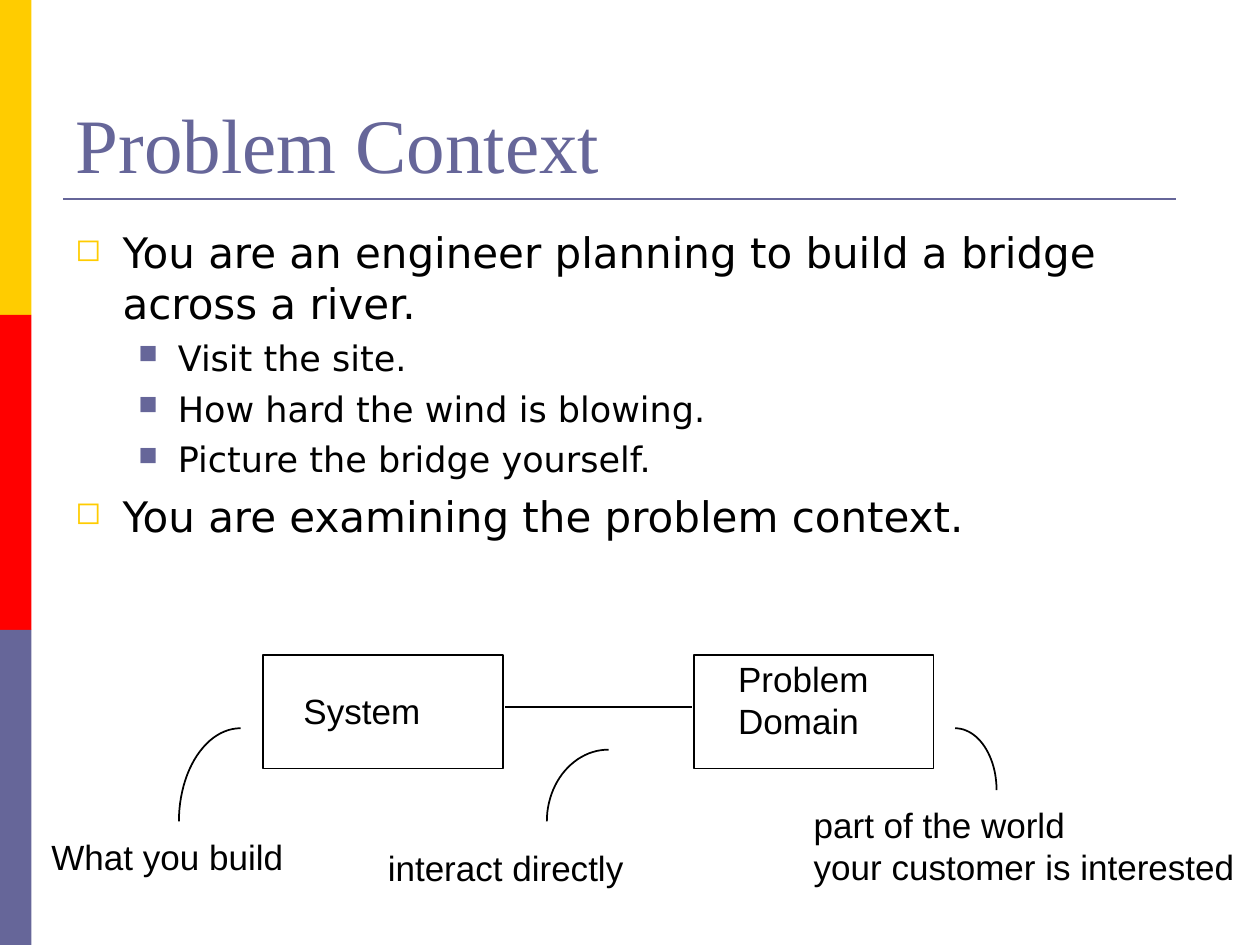
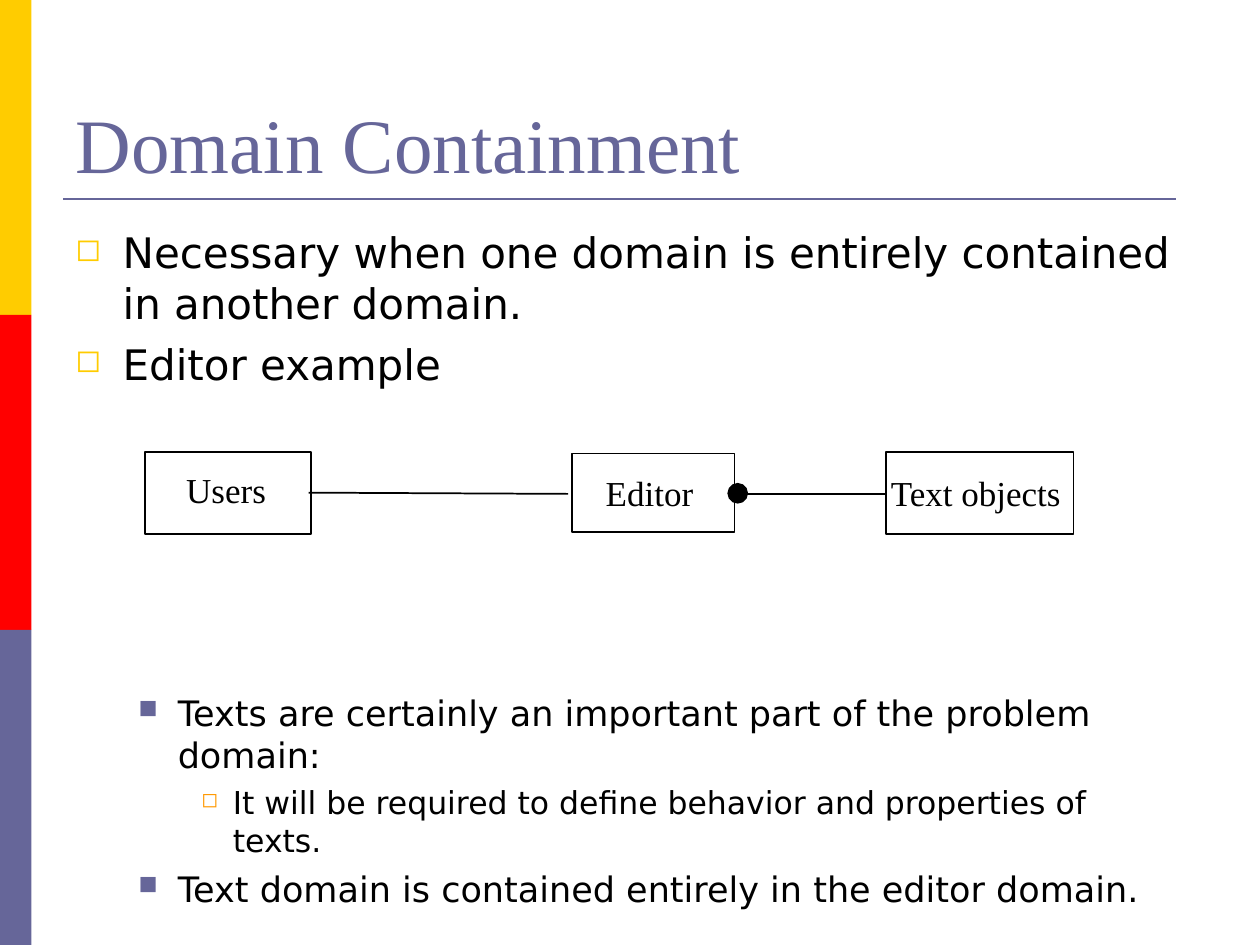
"""Builds two slides on problem context and domain containment."""
import math

import lxml.etree
import pptx
import pptx.dml.color
import pptx.enum.shapes
import pptx.enum.text
import pptx.oxml.ns
import pptx.util

COLS, ROWS = 100, 75
UNIT = pptx.util.Inches(0.1)
GOLD, RED, SLATE, BLACK = "FFCC00", "FF0000", "666699", "000000"
SERIF, SANS, ARIAL = "Times New Roman", "DejaVu Sans", "Arial"
LEVELS = [
    dict(size=24, gap=6, left=3.75, hang=3.75, mark="◻", tint=GOLD, share=75),
    dict(size=20, gap=5, left=8.13, hang=3.13, mark="■", tint=SLATE, share=75),
    dict(size=18, gap=4.5, left=12.5, hang=2.5, mark="◻", tint="FF9900", share=65),
]
SHAPE = pptx.enum.shapes.MSO_SHAPE
ALIGN = pptx.enum.text.PP_ALIGN


def grid(*cells):
    return [round(cell * UNIT) for cell in cells]


def color(code):
    return pptx.dml.color.RGBColor.from_string(code)


class Deck:
    def __init__(self):
        self.file = pptx.Presentation()
        self.file.slide_width, self.file.slide_height = grid(COLS, ROWS)
        self.slide = None

    def page(self, title):
        self.slide = self.file.slides.add_slide(self.file.slide_layouts[5])
        step = ROWS / 3
        for row, tint in enumerate((GOLD, RED, SLATE)):
            self.shape((0, row * step, 2.5, step), fill=tint, line=None)
        self.line((5, 15.8), (93.3, 15.8), SLATE, 1.5)
        head = self.slide.shapes.title
        head.left, head.top, head.width, head.height = grid(5, 3, 90, 12.5)
        frame = head.text_frame
        frame.text = title
        frame.auto_size = pptx.enum.text.MSO_AUTO_SIZE.NONE
        frame.vertical_anchor = pptx.enum.text.MSO_ANCHOR.BOTTOM
        self.style(frame.paragraphs[0], SERIF, 44, SLATE)

    def style(self, para, font, size, tint=BLACK, align=ALIGN.LEFT):
        para.alignment = align
        for run in para.runs:
            run.font.name = font
            run.font.size = pptx.util.Pt(size)
            run.font.color.rgb = color(tint)

    def paint(self, item, fill, line):
        item.shadow.inherit = False
        if fill:
            item.fill.solid()
            item.fill.fore_color.rgb = color(fill)
        else:
            item.fill.background()
        if line:
            item.line.color.rgb = color(line)
            item.line.width = pptx.util.Pt(1)
        else:
            item.line.fill.background()

    def shape(self, box, kind=SHAPE.RECTANGLE, fill=None, line=BLACK):
        item = self.slide.shapes.add_shape(kind, *grid(*box))
        self.paint(item, fill, line)

    def line(self, start, end, tint=BLACK, width=1):
        kind = pptx.enum.shapes.MSO_CONNECTOR.STRAIGHT
        item = self.slide.shapes.add_connector(kind, *grid(*start, *end))
        item.line.color.rgb = color(tint)
        item.line.width = pptx.util.Pt(width)
        lxml.etree.SubElement(item._element.spPr, pptx.oxml.ns.qn("a:effectLst"))

    def curve(self, center, wide, high, steps=24):
        """Draws a quarter arc; a negative width bends it to the left."""
        turns = [math.pi / 2 * step / steps for step in range(steps + 1)]
        points = [grid(center[0] + wide * math.cos(turn),
                       center[1] - high * math.sin(turn)) for turn in turns]
        pen = self.slide.shapes.build_freeform(*points[0])
        pen.add_line_segments(points[1:], close=False)
        self.paint(pen.convert_to_shape(), None, BLACK)

    def label(self, text, box, font=ARIAL, align=ALIGN.LEFT):
        frame = self.slide.shapes.add_textbox(*grid(*box)).text_frame
        frame.text = text
        frame.word_wrap = False
        for para in frame.paragraphs:
            self.style(para, font, 20, align=align)

    def bullets(self, high, items):
        frame = self.slide.shapes.add_textbox(*grid(5, 17.5, 90, high)).text_frame
        frame.word_wrap = True
        frame.text = "\n".join(item[1] for item in items)
        for place, (para, item) in enumerate(zip(frame.paragraphs, items)):
            look = LEVELS[item[0]]
            gap = item[2] if len(item) > 2 else look["gap"]
            para.level = item[0]
            para.space_before = pptx.util.Pt(gap if place else 0)
            self.style(para, SANS, look["size"])
            self.mark(para, look)

    def mark(self, para, look):
        props = para._p.get_or_add_pPr()
        left, hang = grid(look["left"], look["hang"])
        props.set("marL", str(left))
        props.set("indent", str(-hang))

        def add(parent, tag, value, name="val"):
            node = lxml.etree.SubElement(parent, pptx.oxml.ns.qn(tag))
            if value:
                node.set(name, value)
            return node

        add(add(props, "a:buClr", None), "a:srgbClr", look["tint"])
        add(props, "a:buSzPct", str(look["share"] * 1000))
        add(props, "a:buChar", look["mark"], "char")


def context(deck):
    deck.page("Problem Context")
    deck.bullets(31.2, [
        (0, "You are an engineer planning to build a bridge across a river."),
        (1, "Visit the site."),
        (1, "How hard the wind is blowing."),
        (1, "Picture the bridge yourself."),
        (0, "You are examining the problem context."),
    ])
    for left in (20.9, 55.1):
        deck.shape((left, 52, 19, 9))
    deck.line((40.1, 56.1), (54.9, 56.1))
    for center, wide, high in (((19.1, 65.2), -4.9, 7.4),
                               ((48.3, 65.2), -4.9, 5.7),
                               ((75.8, 62.7), 3.3, 4.9)):
        deck.curve(center, wide, high)
    for text, box in (
        ("System", (23.1, 54.2, 12.3, 4.3)),
        ("Problem\nDomain", (57.6, 51.7, 13.3, 7.6)),
        ("What you build", (3.1, 65.8, 21.4, 4.3)),
        ("interact directly", (29.8, 66.7, 21.7, 4.3)),
        ("part of the world\nyour customer is interested", (63.6, 63.3, 36.4, 7.6)),
    ):
        deck.label(text, box)


def domain(deck):
    deck.page("Domain Containment")
    deck.bullets(49.5, [
        (0, "Necessary when one domain is entirely contained in another domain."),
        (0, "Editor example"),
        (1, "Texts are certainly an important part of the problem domain:", 173),
        (2, "It will be required to define behavior and properties of texts."),
        (1, "Text domain is contained entirely in the editor domain."),
    ])
    for text, box, spot in (
        ("Users", (11.5, 35.9, 13.2, 6.5), (13.3, 36.7, 9.3, 4.3)),
        ("Editor", (45.4, 36, 12.9, 6.2), (46.6, 36.9, 9.9, 4.3)),
        ("Text objects", (70.3, 35.9, 14.9, 6.5), (69.1, 36.9, 16.7, 4.3)),
    ):
        deck.shape(box)
        deck.label(text, spot, SERIF, ALIGN.CENTER)
    deck.line((24.5, 39.1), (45.1, 39.2))
    deck.line((70.3, 39.2), (58.5, 39.2))
    deck.shape((57.8, 38.4, 1.5, 1.5), SHAPE.OVAL, BLACK)


def main():
    deck = Deck()
    context(deck)
    domain(deck)
    deck.file.save("out.pptx")


if __name__ == "__main__":
    main()
